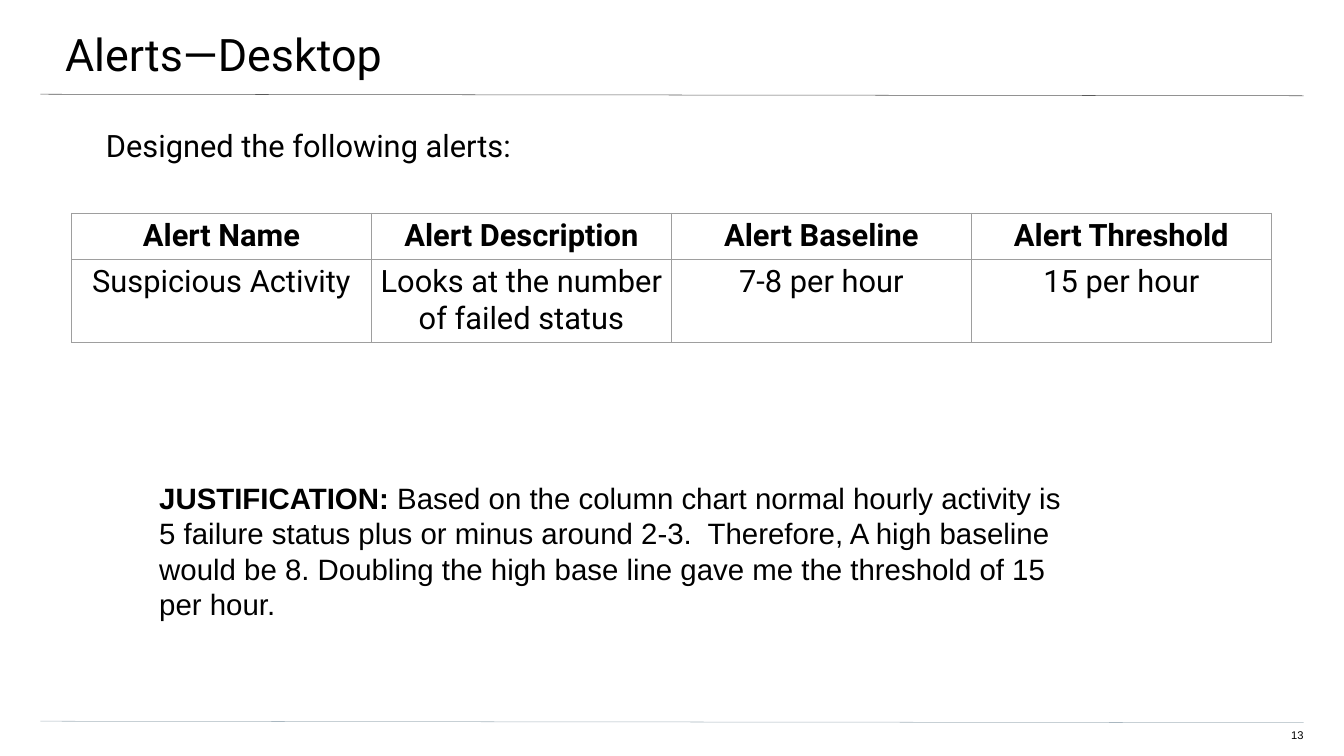
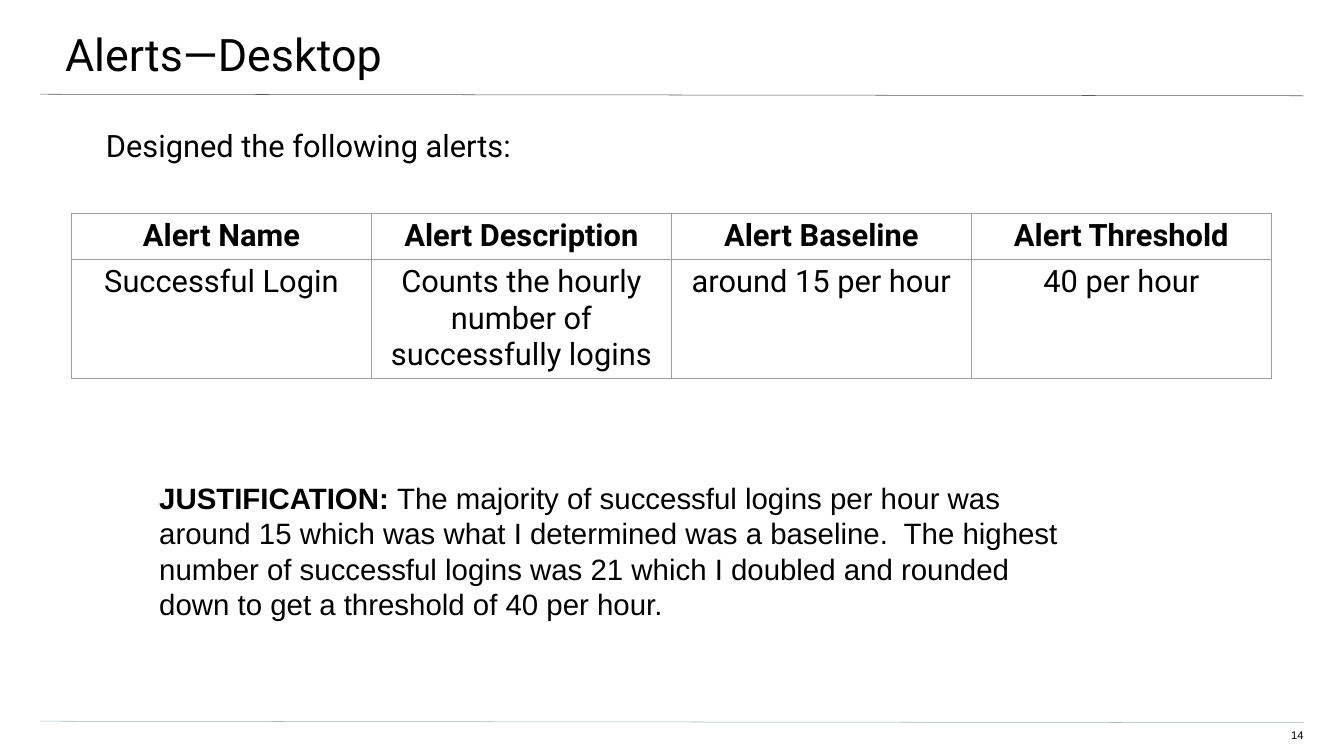
from dataclasses import dataclass

from lxml.etree import SubElement
from pptx import Presentation
from pptx.dml.color import RGBColor
from pptx.enum.shapes import MSO_CONNECTOR
from pptx.enum.text import MSO_ANCHOR, MSO_AUTO_SIZE, PP_ALIGN
from pptx.oxml.ns import qn
from pptx.util import Inches, Pt


@dataclass(frozen=True)
class Theme:
    heading: str = "Roboto"
    plain: str = "Arial"
    text: str = "000000"
    background: str = "FFFFFF"
    title_rule: str = "595959"
    footer_rule: str = "A9B7C0"
    border: str = "9E9E9E"
    line_width: float = 0.75
    title_size: int = 64
    body_size: int = 44
    note_size: int = 42
    number_size: int = 16


THEME = Theme()
TITLE = "Alerts—Desktop"
INTRO = "Designed the following alerts:"
HEADERS = ["Alert Name", "Alert Description", "Alert Baseline", "Alert Threshold"]
FIRST_NUMBER = 13
ALERTS = [
    (
        ["Suspicious Activity", "Looks at the number of failed status",
         "7-8 per hour", "15 per hour"],
        "Based on the column chart normal hourly activity is 5 failure status "
        "plus or minus around 2-3.  Therefore, A high baseline would be 8. "
        "Doubling the high base line gave me the threshold of 15 per hour.",
    ),
    (
        ["Successful Login", "Counts the hourly number of successfully logins",
         "around 15 per hour", "40 per hour"],
        "The majority of successful logins per hour was around 15 which was what "
        "I determined was a baseline.  The highest number of successful logins "
        "was 21 which I doubled and rounded down to get a threshold of 40 per hour.",
    ),
]


def style_run(r, size, name, bold=False):
    r.font.size = Pt(size)
    r.font.name = name
    r.font.bold = bold
    r.font.color.rgb = RGBColor.from_string(THEME.text)


def set_frame(tf, insets, auto_size=MSO_AUTO_SIZE.NONE):
    tf.margin_left, tf.margin_top, tf.margin_right, tf.margin_bottom = map(Inches, insets)
    tf.word_wrap = True
    tf.auto_size = auto_size
    tf.vertical_anchor = MSO_ANCHOR.TOP


def fill_placeholder(sp, box, insets, text, size):
    sp.left, sp.top, sp.width, sp.height = map(Inches, box)
    tf = sp.text_frame
    tf.text = text
    set_frame(tf, insets)
    p = tf.paragraphs[0]
    pPr = p._p.get_or_add_pPr()
    pPr.set("marL", "0")
    pPr.set("indent", "0")
    SubElement(pPr, qn("a:buNone"))
    p.alignment = PP_ALIGN.LEFT
    p.space_before = Pt(0)
    style_run(p.runs[0], size, THEME.heading)


def add_rule(s, top, color):
    line = s.shapes.add_connector(
        MSO_CONNECTOR.STRAIGHT,
        Inches(0.8), Inches(top), Inches(25.86), Inches(top + 0.03))
    line.line.color.rgb = RGBColor.from_string(color)
    line.line.width = Pt(THEME.line_width)
    SubElement(line._element.spPr, qn("a:effectLst"))


def add_number(s, number):
    sp = s.shapes.add_textbox(Inches(25.1), Inches(14.46), Inches(0.76), Inches(0.31))
    tf = sp.text_frame
    tf.text = str(number)
    set_frame(tf, (0, 0, 0, 0.27))
    p = tf.paragraphs[0]
    p.alignment = PP_ALIGN.RIGHT
    style_run(p.runs[0], THEME.number_size, THEME.plain)


def add_borders(cell):
    tcPr = cell._tc.get_or_add_tcPr()
    for side in ("lnL", "lnR", "lnT", "lnB"):
        ln = SubElement(tcPr, qn(f"a:{side}"), w=str(Pt(THEME.line_width)))
        fill = SubElement(ln, qn("a:solidFill"))
        SubElement(fill, qn("a:srgbClr"), val=THEME.border)


def add_alert_table(s, values):
    heights = [0.42, 0.93]
    rows = [HEADERS, values]
    col_width = 5.95
    table = s.shapes.add_table(
        len(rows), len(HEADERS), Inches(1.42), Inches(4.23),
        Inches(col_width * len(HEADERS)), Inches(sum(heights))).table
    table.horz_banding = False
    for col in table.columns:
        col.width = Inches(col_width)
    for i, texts in enumerate(rows):
        table.rows[i].height = Inches(heights[i])
        for j, text in enumerate(texts):
            cell = table.cell(i, j)
            cell.text = text
            cell.margin_left = cell.margin_right = Inches(0.1)
            cell.margin_top = cell.margin_bottom = Inches(0.1)
            add_borders(cell)
            cell.fill.background()
            p = cell.text_frame.paragraphs[0]
            p.alignment = PP_ALIGN.CENTER
            style_run(p.runs[0], THEME.body_size, THEME.heading, bold=i == 0)


def add_justification(s, text):
    sp = s.shapes.add_textbox(Inches(3.06), Inches(9.43), Inches(18.12), Inches(3.03))
    tf = sp.text_frame
    set_frame(tf, (0.1, 0.1, 0.1, 0.1), MSO_AUTO_SIZE.SHAPE_TO_FIT_TEXT)
    p = tf.paragraphs[0]
    for part, bold in (("JUSTIFICATION: ", True), (text, False)):
        r = p.add_run()
        r.text = part
        style_run(r, THEME.note_size, THEME.plain, bold)


def add_alert_slide(prs, number, values, justification):
    s = prs.slides.add_slide(prs.slide_layouts[1])
    s.background.fill.solid()
    s.background.fill.fore_color.rgb = RGBColor.from_string(THEME.background)
    add_rule(s, 1.87, THEME.title_rule)
    add_rule(s, 14.31, THEME.footer_rule)
    fill_placeholder(s.shapes.title, (-0.04, 0, 26.73, 1.56),
                     (1.33, 0.53, 0.8, 0.27), TITLE, THEME.title_size)
    add_number(s, number)
    fill_placeholder(s.placeholders[1], (0.77, 2.51, 25.09, 10.79),
                     (1.33, 0, 1.33, 2.67), INTRO, THEME.body_size)
    add_alert_table(s, values)
    add_justification(s, justification)


def main():
    prs = Presentation()
    prs.slide_width = Inches(26.66)
    prs.slide_height = Inches(15)
    for number, (values, justification) in enumerate(ALERTS, FIRST_NUMBER):
        add_alert_slide(prs, number, values, justification)
    prs.save("out.pptx")


if __name__ == "__main__":
    main()
